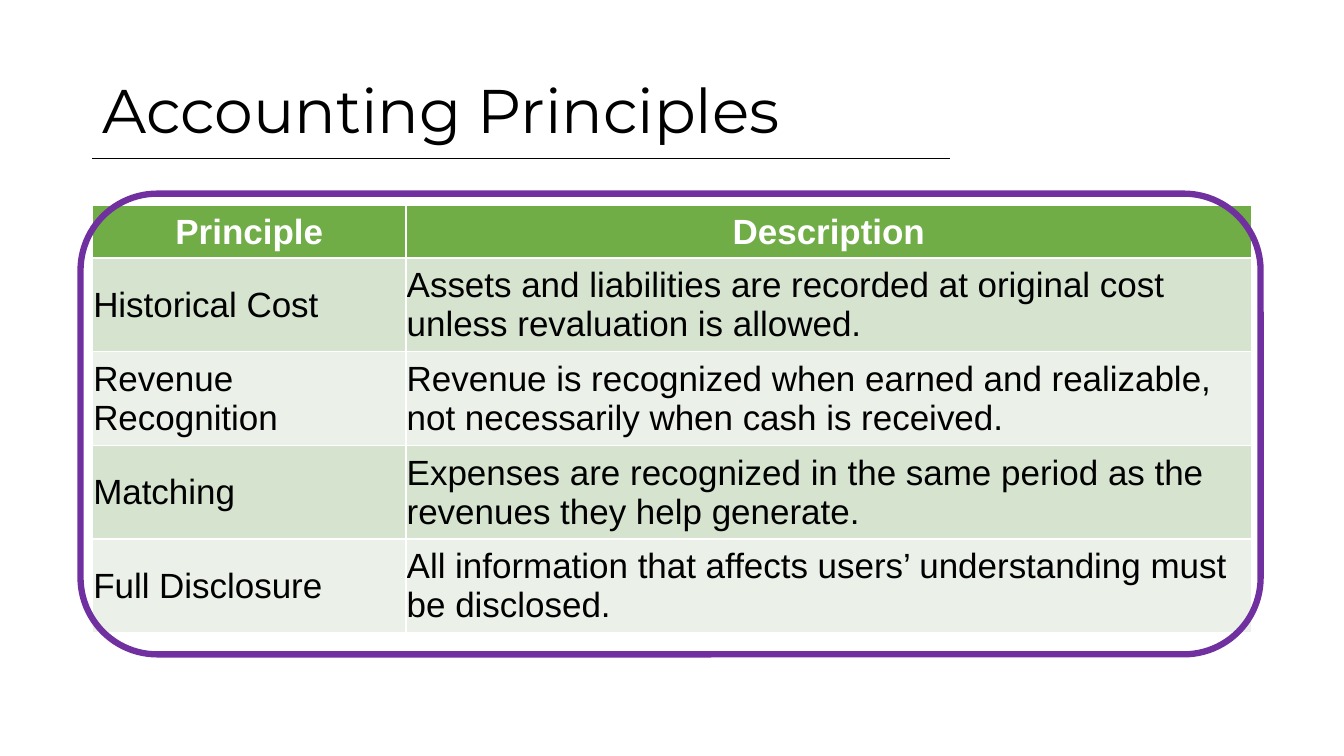
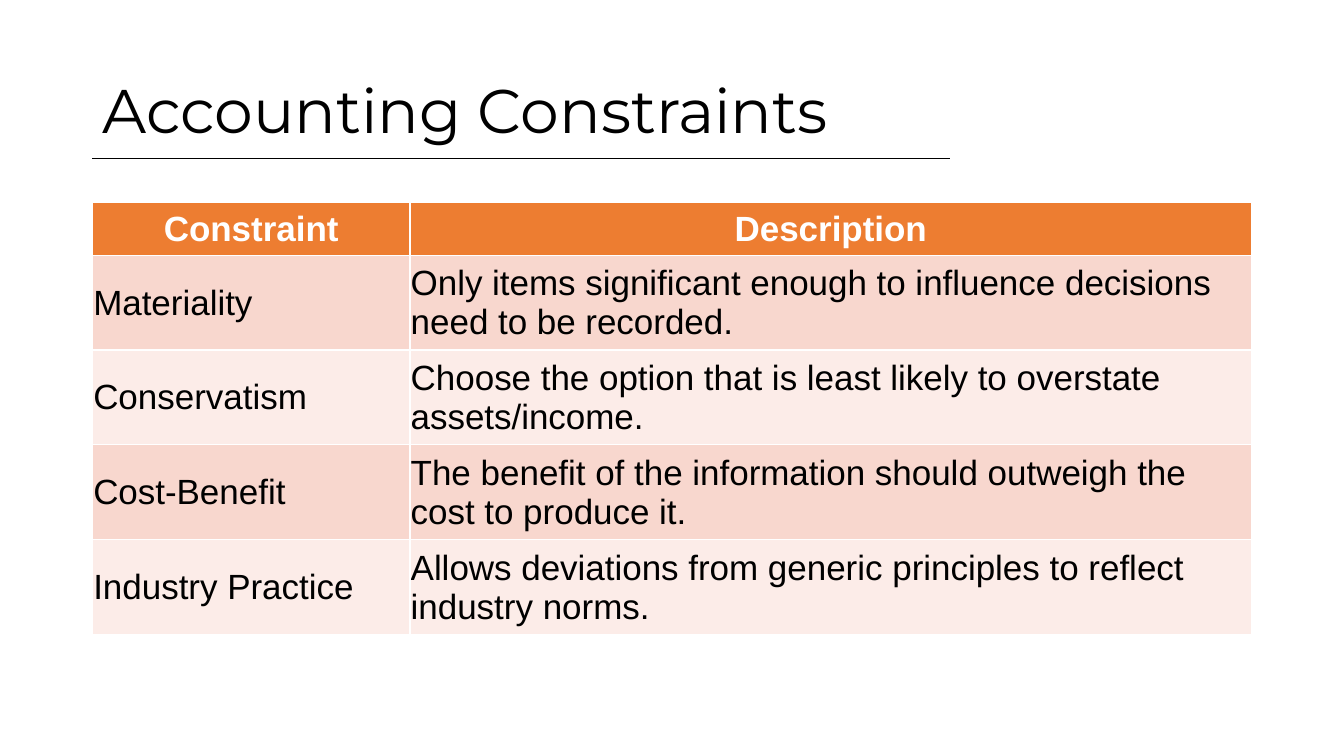
from lxml.etree import SubElement
from pptx import Presentation
from pptx.dml.color import RGBColor
from pptx.enum.shapes import MSO_CONNECTOR, MSO_SHAPE
from pptx.enum.text import MSO_ANCHOR, PP_ALIGN
from pptx.oxml.ns import qn
from pptx.util import Cm, Pt

COLORS = {
    "ink": "000000",
    "paper": "FFFFFF",
    "frame": "7030A0",
    "green": "70AD47",
    "green_mid": "D5E3CF",
    "green_pale": "EBF1E9",
    "orange": "ED7D31",
    "orange_mid": "F8D7CE",
    "orange_pale": "FCECE8",
}
TITLE_FONT, TABLE_FONT = "Montserrat", "Arial"
LEFT, WIDTH = Cm(2.33), Cm(29.21)
HEADER_HEIGHT = Cm(1.32)

TOPICS = [
    {
        "title": "Accounting Principles",
        "hue": "green",
        "top": Cm(5.18),
        "term_width": Cm(7.9),
        "row_height": Cm(2.36),
        "framed": True,
        "rows": [
            ("Principle", "Description"),
            ("Historical Cost",
             "Assets and liabilities are recorded at original cost unless revaluation is allowed."),
            ("Revenue Recognition",
             "Revenue is recognized when earned and realizable, not necessarily when cash is received."),
            ("Matching",
             "Expenses are recognized in the same period as the revenues they help generate."),
            ("Full Disclosure",
             "All information that affects users’ understanding must be disclosed."),
        ],
    },
    {
        "title": "Accounting Constraints",
        "hue": "orange",
        "top": Cm(5.11),
        "term_width": Cm(8),
        "row_height": Cm(2.39),
        "framed": False,
        "rows": [
            ("Constraint", "Description"),
            ("Materiality",
             "Only items significant enough to influence decisions need to be recorded."),
            ("Conservatism",
             "Choose the option that is least likely to overstate assets/income."),
            ("Cost-Benefit",
             "The benefit of the information should outweigh the cost to produce it."),
            ("Industry Practice",
             "Allows deviations from generic principles to reflect industry norms."),
        ],
    },
]


def rgb(name):
    return RGBColor.from_string(COLORS[name])


def add_run(paragraph, text, font, size, color, bold=False):
    run = paragraph.add_run()
    run.text = text
    run.font.name = font
    run.font.size = Pt(size)
    run.font.bold = bold
    run.font.color.rgb = rgb(color)


prs = Presentation()
prs.slide_width, prs.slide_height = Cm(33.87), Cm(19.05)

for topic in TOPICS:
    slide = prs.slides.add_slide(prs.slide_layouts[6])

    rule = slide.shapes.add_connector(
        MSO_CONNECTOR.STRAIGHT, LEFT, Cm(3.99), Cm(23.93), Cm(3.99))
    rule.line.color.rgb = rgb("ink")
    rule.line.width = Pt(1)
    SubElement(rule._element.spPr, qn("a:effectLst"))

    title = slide.shapes.add_textbox(LEFT, Cm(1.02), WIDTH, Cm(3.68)).text_frame
    title.word_wrap = True
    title.vertical_anchor = MSO_ANCHOR.MIDDLE
    title.paragraphs[0].line_spacing = 0.9
    add_run(title.paragraphs[0], topic["title"], TITLE_FONT, 44, "ink")

    rows, hue = topic["rows"], topic["hue"]
    table_height = HEADER_HEIGHT + topic["row_height"] * (len(rows) - 1)
    table = slide.shapes.add_table(
        len(rows), 2, LEFT, topic["top"], WIDTH, table_height).table
    table.columns[0].width = topic["term_width"]
    table.columns[1].width = WIDTH - topic["term_width"]

    for r, row in enumerate(rows):
        is_header = r == 0
        table.rows[r].height = HEADER_HEIGHT if is_header else topic["row_height"]
        if is_header:
            fill = hue
        else:
            fill = f"{hue}_mid" if r % 2 else f"{hue}_pale"
        for c, text in enumerate(row):
            cell = table.cell(r, c)
            cell.fill.solid()
            cell.fill.fore_color.rgb = rgb(fill)
            cell.vertical_anchor = MSO_ANCHOR.MIDDLE
            cell.margin_left = cell.margin_right = cell.margin_top = Cm(0.02)
            cell.margin_bottom = 0
            paragraph = cell.text_frame.paragraphs[0]
            paragraph.alignment = PP_ALIGN.CENTER if is_header else PP_ALIGN.LEFT
            add_run(paragraph, text, TABLE_FONT, 25,
                    "paper" if is_header else "ink", bold=is_header)

    if topic["framed"]:
        frame = slide.shapes.add_shape(
            MSO_SHAPE.ROUNDED_RECTANGLE, Cm(2.03), Cm(4.88), Cm(29.74), Cm(11.61))
        frame.shadow.inherit = False
        frame.fill.background()
        frame.line.color.rgb = rgb("frame")
        frame.line.width = Pt(4.5)

prs.save("out.pptx")
